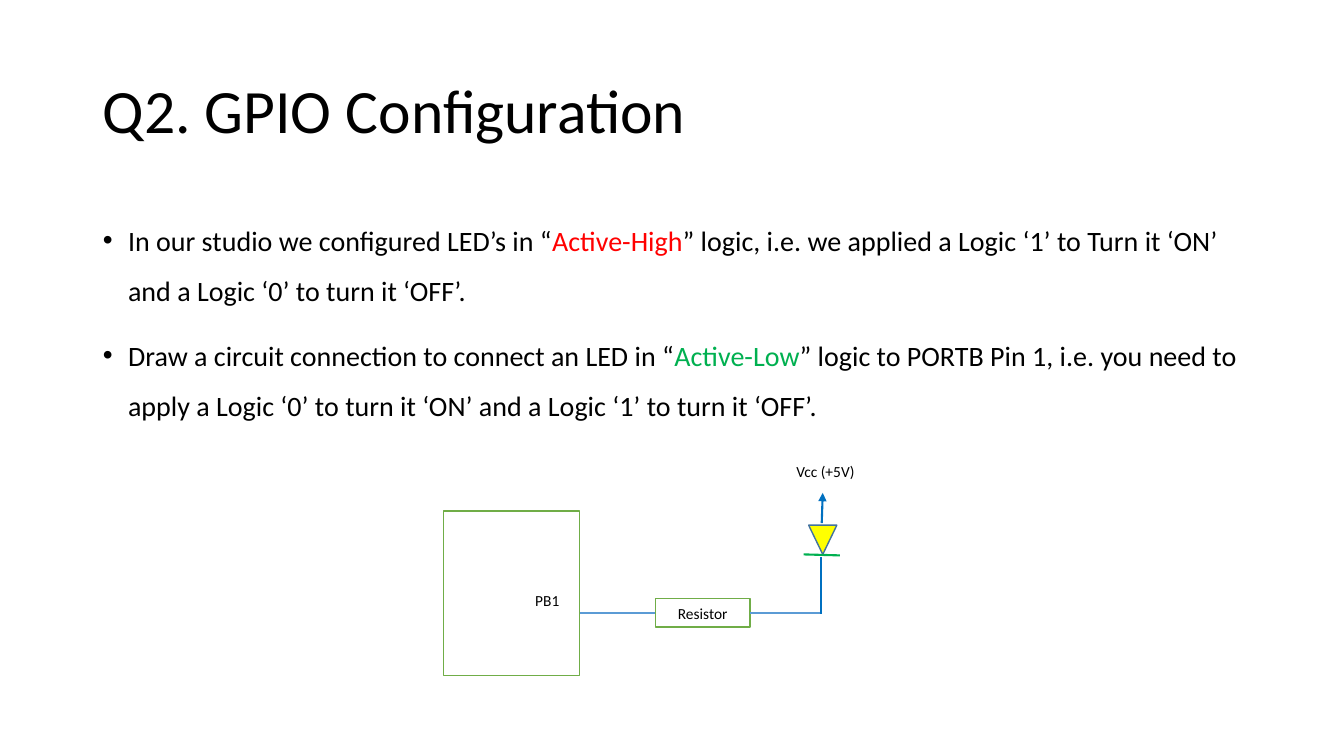
import pptx
import pptx.util
import pptx.dml.color
import pptx.enum.shapes
import pptx.enum.text
import pptx.oxml
import pptx.oxml.ns

RGB = pptx.dml.color.RGBColor
BLACK = RGB(0x00, 0x00, 0x00)
WHITE = RGB(0xFF, 0xFF, 0xFF)
RED = RGB(0xFF, 0x00, 0x00)
GREEN = RGB(0x00, 0xB0, 0x50)
YELLOW = RGB(0xFF, 0xFF, 0x00)
BOX_GREEN = RGB(0x70, 0xAD, 0x47)
WIRE_BLUE = RGB(0x5B, 0x9B, 0xD5)
SUPPLY_BLUE = RGB(0x00, 0x70, 0xC0)
LED_EDGE = RGB(0x43, 0x73, 0x9E)

PX = 9144  # EMU per px, 100 px to the inch
Pt = pptx.util.Pt
MSO_SHAPE = pptx.enum.shapes.MSO_SHAPE
ALIGN = pptx.enum.text.PP_ALIGN
ANCHOR = pptx.enum.text.MSO_ANCHOR
NO_AUTOFIT = pptx.enum.text.MSO_AUTO_SIZE.NONE
LEFT_SIDE, RIGHT_SIDE = 1, 3


def add_xml(parent, tag, **attrs):
    el = pptx.oxml.parse_xml(f'<a:{tag} {pptx.oxml.ns.nsdecls("a")}/>')
    for name, value in attrs.items():
        el.set(name, value)
    parent.append(el)


class SlideBuilder:
    """Current slide together with its text and line style."""

    def __init__(self, slide, font="Calibri"):
        self.slide = slide
        self.font = font

    def runs(self, p, parts, size):
        """Add (text, colour) parts to a paragraph."""
        for text, colour in parts:
            r = p.add_run()
            r.text = text
            r.font.name = self.font
            r.font.size = Pt(size)
            r.font.color.rgb = colour

    def place(self, sp, box, anchor):
        sp.left, sp.top, sp.width, sp.height = (v * PX for v in box)
        tf = sp.text_frame
        tf.word_wrap = True
        tf.auto_size = NO_AUTOFIT
        tf.vertical_anchor = anchor
        return tf

    def title(self, text, box):
        p = self.place(self.slide.shapes.title, box, ANCHOR.MIDDLE).paragraphs[0]
        p.alignment = ALIGN.LEFT
        p.line_spacing = 0.9
        self.runs(p, [(text, BLACK)], 44)

    def bullets(self, items, box):
        tf = self.place(self.slide.placeholders[1], box, ANCHOR.TOP)
        for i, parts in enumerate(items):
            p = tf.add_paragraph() if i else tf.paragraphs[0]
            p.line_spacing = 1.5
            p.space_before = Pt(10)
            pPr = p._p.get_or_add_pPr()
            pPr.set("marL", str(25 * PX))
            pPr.set("indent", str(-25 * PX))
            add_xml(pPr, "buFont", typeface="Arial")
            add_xml(pPr, "buChar", char="•")
            self.runs(p, parts, 20)

    def shape(self, kind, box, fill=WHITE, line=None, rotation=0):
        sp = self.slide.shapes.add_shape(kind, *(v * PX for v in box))
        sp.shadow.inherit = False
        sp.rotation = rotation
        sp.fill.solid()
        sp.fill.fore_color.rgb = fill
        if line is None:
            sp.line.fill.background()
        else:
            sp.line.color.rgb = line
            sp.line.width = Pt(1)
        return sp

    def label(self, text, box, line=None, align=ALIGN.LEFT, anchor=ANCHOR.TOP):
        sp = self.shape(MSO_SHAPE.RECTANGLE, box, line=line)
        p = self.place(sp, box, anchor).paragraphs[0]
        p.alignment = align
        p.line_spacing = 1.07
        p.space_after = Pt(8)
        self.runs(p, [(text, BLACK)], 11)
        return sp

    def wire(self, start, end, colour, arrow=False):
        c = self.slide.shapes.add_connector(
            pptx.enum.shapes.MSO_CONNECTOR.STRAIGHT,
            *(v * PX for v in start + end))
        c.line.color.rgb = colour
        c.line.width = Pt(1.5)
        if arrow:
            add_xml(c.line._get_or_add_ln(), "tailEnd", type="triangle")
        add_xml(c._element.spPr, "effectLst")
        return c


def main():
    prs = pptx.Presentation()
    prs.slide_width, prs.slide_height = 1333 * PX, 750 * PX
    s = SlideBuilder(prs.slides.add_slide(prs.slide_layouts[1]))

    s.title("Q2. GPIO Configuration", (92, 40, 1150, 145))
    s.bullets([
        [("In our studio we configured LED’s in “", BLACK),
         ("Active-High", RED),
         ("” logic, i.e. we applied a Logic ‘1’ to Turn it ‘ON’ "
          "and a Logic ‘0’ to turn it ‘OFF’.", BLACK)],
        [("Draw a circuit connection to connect an LED in “", BLACK),
         ("Active-Low", GREEN),
         ("” logic to PORTB Pin 1, i.e. you need to apply a Logic ‘0’ "
          "to turn it ‘ON’ and a Logic ‘1’ to turn it ‘OFF’.", BLACK)],
    ], (92, 200, 1150, 225))

    # Microcontroller pin through the resistor
    s.shape(MSO_SHAPE.RECTANGLE, (440, 507, 135, 163), line=BOX_GREEN)
    s.label("PB1", (521, 580, 51, 31))
    resistor = s.label("Resistor", (650, 594, 94, 28), BOX_GREEN,
                       ALIGN.CENTER, ANCHOR.MIDDLE)
    pin_wire = s.wire((575, 608), (650, 608), WIRE_BLUE)
    pin_wire.end_connect(resistor, LEFT_SIDE)
    led_wire = s.wire((744, 608), (815, 608), WIRE_BLUE)
    led_wire.begin_connect(resistor, RIGHT_SIDE)

    # LED up to the supply
    s.shape(MSO_SHAPE.ISOSCELES_TRIANGLE, (802, 521, 28, 29), YELLOW,
            LED_EDGE, rotation=180)
    s.wire((797, 550), (833, 551), GREEN)
    s.wire((814, 609), (814, 553), SUPPLY_BLUE)
    s.wire((815, 519), (816, 489), SUPPLY_BLUE, arrow=True)
    s.label("Vcc (+5V)", (780, 452, 83, 30))

    prs.save("out.pptx")


if __name__ == "__main__":
    main()
